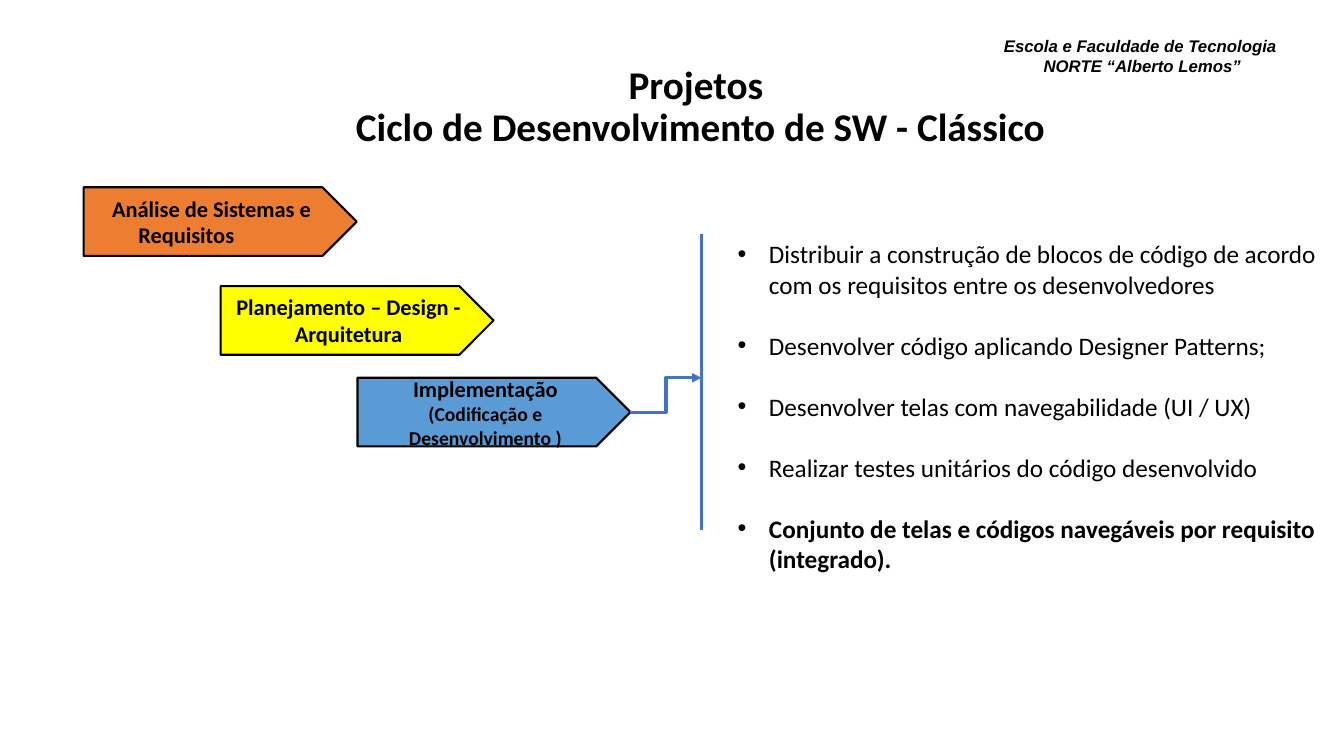
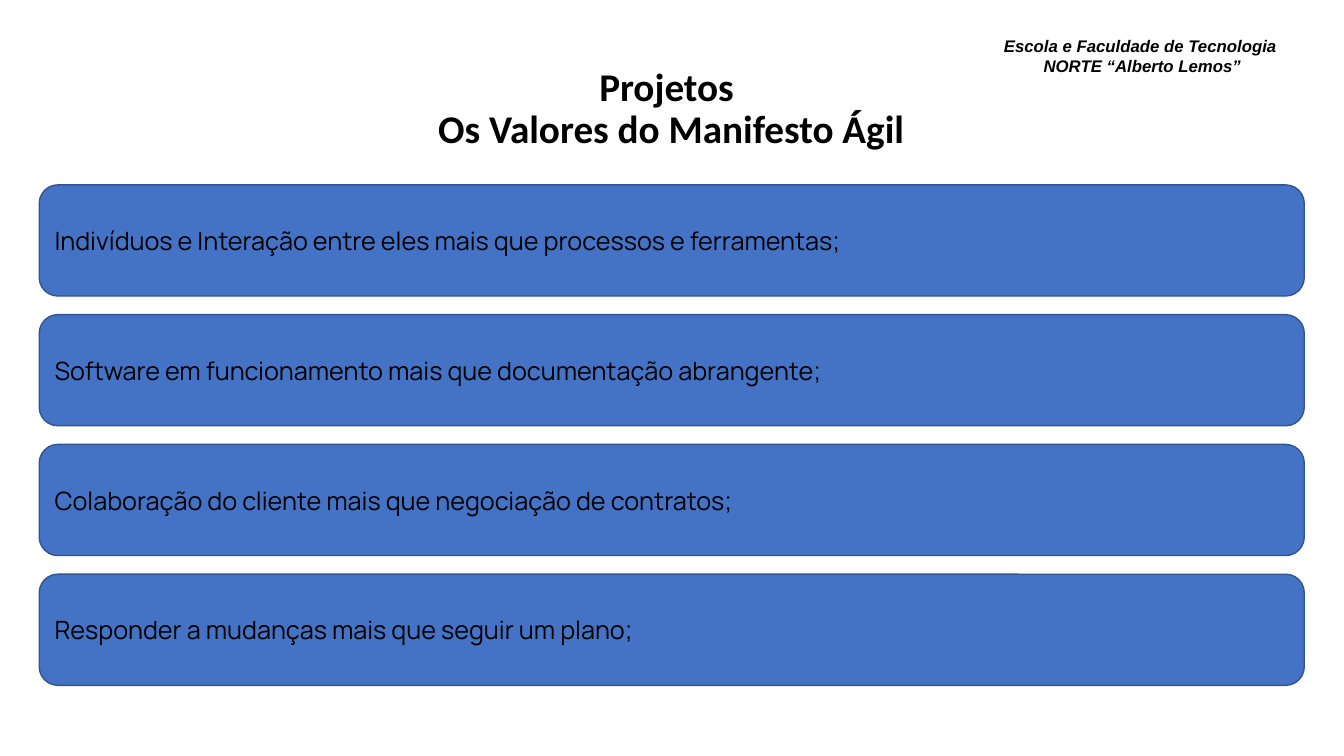
from lxml.etree import SubElement
from pptx import Presentation
from pptx.dml.color import RGBColor
from pptx.enum.shapes import MSO_CONNECTOR, MSO_SHAPE
from pptx.enum.text import MSO_ANCHOR, MSO_AUTO_SIZE, PP_ALIGN
from pptx.oxml.ns import qn
from pptx.util import Cm, Pt

COLORS = {
    "text": "000000",
    "orange": "ED7D31",
    "yellow": "FFFF00",
    "light_blue": "5B9BD5",
    "blue": "4472C4",
    "dark_blue": "325491",
}
FORMATS = {
    "header": {"name": "Arial", "size": Pt(12), "bold": True, "italic": True},
    "title": {"name": "Calibri", "size": Pt(28), "bold": True},
    "phase": {"name": "Calibri", "size": Pt(16), "bold": True},
    "phase_detail": {"name": "Calibri", "size": Pt(14), "bold": True},
    "bullet": {"name": "Calibri", "size": Pt(18), "bold": False},
    "key_bullet": {"name": "Calibri", "size": Pt(18), "bold": True},
    "value": {"name": "Manrope", "size": Pt(18), "bold": False},
}


def add_text(paragraph, text, style):
    run = paragraph.add_run()
    run.text = text
    for attribute, value in FORMATS[style].items():
        setattr(run.font, attribute, value)
    run.font.color.rgb = RGBColor.from_string(COLORS["text"])


def add_box(slide, preset, position, fill, line, line_width):
    shape = slide.shapes.add_shape(preset, *[Cm(length) for length in position])
    shape.shadow.inherit = False
    shape.fill.solid()
    shape.fill.fore_color.rgb = RGBColor.from_string(COLORS[fill])
    shape.line.color.rgb = RGBColor.from_string(COLORS[line])
    shape.line.width = Pt(line_width)
    shape.text_frame.vertical_anchor = MSO_ANCHOR.MIDDLE
    shape.text_frame.word_wrap = True
    return shape


presentation = Presentation()
presentation.slide_width = Cm(33.87)
presentation.slide_height = Cm(19.05)
layout = presentation.slide_layouts[5]

slides = []
for title_text, left, top in [
    ("Projetos \vCiclo de Desenvolvimento de SW - Clássico", 1.98, 1.52),
    ("Projetos \vOs Valores do Manifesto Ágil", 1.24, 1.57),
]:
    slide = presentation.slides.add_slide(layout)
    title = slide.shapes.title
    title.left, title.top, title.width, title.height = Cm(left), Cm(top), Cm(31.34), Cm(2.62)
    title.text_frame.auto_size = MSO_AUTO_SIZE.NONE
    title.text_frame.vertical_anchor = MSO_ANCHOR.TOP
    paragraph = title.text_frame.paragraphs[0]
    paragraph.alignment = PP_ALIGN.CENTER
    paragraph.line_spacing = 0.9
    first_line, second_line = title_text.split("\v")
    add_text(paragraph, first_line, "title")
    paragraph.add_line_break()
    add_text(paragraph, second_line, "title")
    slides.append(slide)
cycle_slide, values_slide = slides

header = cycle_slide.shapes.add_textbox(Cm(25.3), Cm(0.89), Cm(7.1), Cm(1.65))
frame = header.text_frame
frame.word_wrap = True
frame.margin_left = frame.margin_top = frame.margin_right = frame.margin_bottom = 0
paragraph = frame.paragraphs[0]
properties = paragraph._p.get_or_add_pPr()
properties.set("marL", str(Cm(1)))
properties.set("indent", str(Cm(-1)))
add_text(paragraph, "Escola e Faculdade de Tecnologia NORTE “Alberto Lemos”", "header")
layout.shapes._spTree.append(header._element)

phases = [
    ("orange", 4.72, [[("Análise de Sistemas e", "phase")], [("Requisitos", "phase")]]),
    ("yellow", 7.21, [[("Planejamento – Design - Arquitetura", "phase")]]),
    ("light_blue", 9.52, [[("Implementação ", "phase"),
                           ("(Codificação e Desenvolvimento )", "phase_detail")]]),
]
for index, (color, top, lines) in enumerate(phases):
    phase = add_box(cycle_slide, MSO_SHAPE.PENTAGON, (2.11 + 3.45 * index, top, 6.88, 1.73),
                    color, "text", 1.5)
    frame = phase.text_frame
    for number, runs in enumerate(lines):
        paragraph = frame.add_paragraph() if number else frame.paragraphs[0]
        paragraph.alignment = PP_ALIGN.LEFT if number else PP_ALIGN.CENTER
        if number:
            paragraph._p.get_or_add_pPr().set("marL", str(Cm(1.13)))
        for text, style in runs:
            add_text(paragraph, text, style)

separator = cycle_slide.shapes.add_connector(
    MSO_CONNECTOR.STRAIGHT, Cm(17.68), Cm(5.89), Cm(17.68), Cm(13.36))
arrow = cycle_slide.shapes.add_connector(
    MSO_CONNECTOR.ELBOW, Cm(15.89), Cm(10.39), Cm(17.68), Cm(9.52))
arrow.begin_connect(phase, 3)
for connector in (separator, arrow):
    connector.line.color.rgb = RGBColor.from_string(COLORS["blue"])
    connector.line.width = Pt(2.25)
    SubElement(connector._element.spPr, qn("a:effectLst"))
SubElement(arrow.line._get_or_add_ln(), qn("a:tailEnd"), type="triangle")

activities = [
    ("Distribuir a construção de blocos de código de acordo com os requisitos "
     "entre os desenvolvedores", "bullet"),
    ("Desenvolver código aplicando Designer Patterns;", "bullet"),
    ("Desenvolver telas com navegabilidade (UI / UX)", "bullet"),
    ("Realizar testes unitários do código desenvolvido", "bullet"),
    ("Conjunto de telas e códigos navegáveis por requisito (integrado).", "key_bullet"),
]
activity_list = cycle_slide.shapes.add_textbox(Cm(18.34), Cm(5.89), Cm(15.5), Cm(9))
frame = activity_list.text_frame
frame.word_wrap = True
for index, (text, style) in enumerate(activities):
    paragraph = frame.add_paragraph() if index else frame.paragraphs[0]
    paragraph.space_after = Pt(22)
    properties = paragraph._p.get_or_add_pPr()
    properties.set("marL", str(Cm(0.79)))
    properties.set("indent", str(Cm(-0.79)))
    SubElement(properties, qn("a:buFont"), typeface="Arial")
    SubElement(properties, qn("a:buChar"), char="•")
    add_text(paragraph, text, style)

values = [
    "Indivíduos e Interação entre eles mais que processos e ferramentas;",
    "Software em funcionamento mais que documentação abrangente;",
    "Colaboração do cliente mais que negociação de contratos;",
    "Responder a mudanças mais que seguir um plano;",
]
for index, text in enumerate(values):
    band = add_box(values_slide, MSO_SHAPE.ROUNDED_RECTANGLE, (0.99, 4.66 + 3.27 * index, 31.88, 2.8),
                   "blue", "dark_blue", 1)
    paragraph = band.text_frame.paragraphs[0]
    paragraph.alignment = PP_ALIGN.LEFT
    add_text(paragraph, text, "value")

presentation.save("out.pptx")
